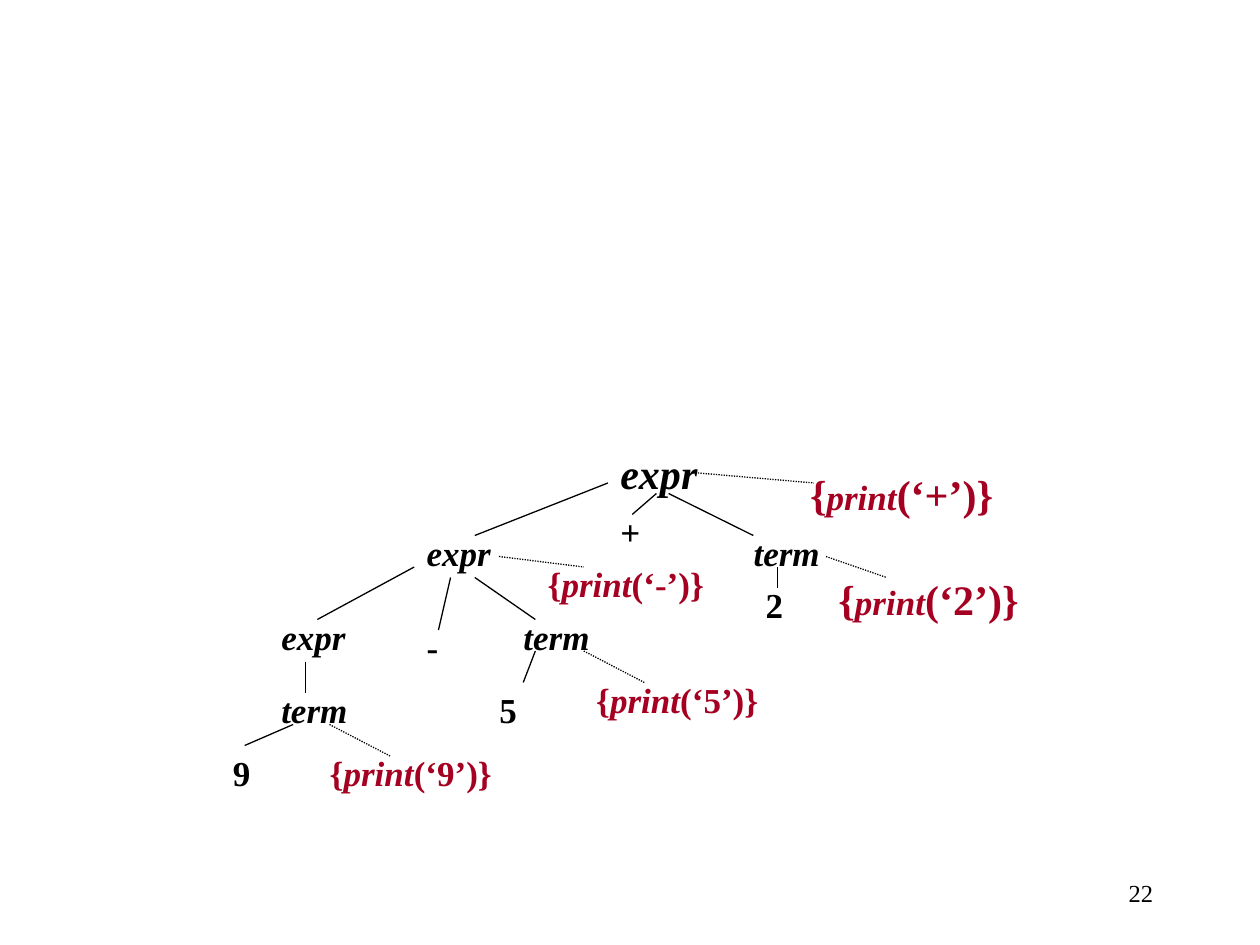
from lxml import etree
from pptx import Presentation
from pptx.dml.color import RGBColor
from pptx.enum import dml, shapes, text
from pptx.oxml import ns
from pptx.util import Pt

COLORS = {"ink": "000000", "action": "A50021"}
FONT = "Times New Roman"
COLUMNS, ROWS = 79, 34  # grid of the parse tree

# Grammar symbols: wording, column, row, size
SYMBOLS = [
    ("expr", 32, 0, 24), ("expr", 16, 8, 20), ("expr", 4, 16, 20),
    ("term", 43, 8, 20), ("term", 24, 16, 20), ("term", 4, 23, 20),
]
# Tokens: wording, column, row
TOKENS = [("+", 32, 6), ("-", 16, 17), ("2", 44, 13), ("5", 22, 23), ("9", 0, 29)]
# Semantic actions: printed token, column, row, columns wide, bracket size
ACTIONS = [
    ("+", 47.66, 2, 29, 24), ("2", 50, 12, 29, 24), ("-", 26, 11, 19, 20),
    ("5", 30, 22, 29, 20), ("9", 8, 29, 29, 20),
]
# Links: start column and row, end column and row
BRANCHES = [
    (32, 4, 21, 9), (36, 5, 34, 7), (37, 5, 44, 9), (46, 12, 46, 14),
    (16, 12, 8, 17), (19, 13, 18, 18), (21, 13, 26, 17), (26, 20, 25, 23),
    (7, 21, 7, 24), (6, 27, 2, 29),
]
ACTION_LINKS = [
    (39, 3, 49, 4), (50, 11, 55, 13), (23, 11, 30, 12), (30, 20, 35, 23),
    (9, 27, 14, 30),
]


def add_label(page, box, spans, color, **para_format):
    """Place one line of text; spans holds (wording, size, bold, italic)."""
    frame = page.shapes.add_textbox(*map(Pt, box)).text_frame
    frame.word_wrap = True
    para = frame.paragraphs[0]
    for name, value in para_format.items():
        setattr(para, name, value)
    for wording, size, bold, italic in spans:
        span = para.add_run()
        span.text = wording
        values = {"name": FONT, "size": Pt(size), "bold": bold, "italic": italic}
        for name, value in values.items():
            setattr(span.font, name, value)
        span.font.color.rgb = RGBColor.from_string(COLORS[color])
    return frame


def add_link(page, start, end, dash=None):
    link = page.shapes.add_connector(
        shapes.MSO_CONNECTOR.STRAIGHT, *map(Pt, start + end))
    link.line.width = Pt(0.75)
    link.line.color.rgb = RGBColor.from_string(COLORS["ink"])
    if dash:
        link.line.dash_style = dash
    etree.SubElement(link._element.spPr, ns.qn("a:effectLst"))


def add_parse_tree(page, box):
    left, top, width, height = box
    step_x, step_y = width / COLUMNS, height / ROWS

    def at(column, row):
        return round(left + column * step_x, 2), round(top + row * step_y, 2)

    def label_box(column, row, columns, size):
        return *at(column, row), round(columns * step_x, 2), 36 if size == 24 else 31.5

    # Symbols and tokens
    for wording, column, row, size in SYMBOLS:
        add_label(page, label_box(column, row, 15, size),
                  [(wording, size, True, True)], "ink")
    for wording, column, row in TOKENS:
        add_label(page, label_box(column, row, 6, 20),
                  [(wording, 20, True, False)], "ink")

    # Semantic actions
    for token, column, row, columns, size in ACTIONS:
        spans = [("{", size, True, False), ("print", 20, True, True),
                 (f"(‘{token}’)}}", size, True, False)]
        add_label(page, label_box(column, row, columns, size), spans, "action")

    # Solid branches, dotted links to actions
    for links, dash in ((BRANCHES, None), (ACTION_LINKS, dml.MSO_LINE.ROUND_DOT)):
        for x1, y1, x2, y2 in links:
            add_link(page, at(x1, y1), at(x2, y2), dash)


def add_page_number(page, box):
    frame = add_label(page, box, [("22", 14, False, False)], "ink",
                      alignment=text.PP_ALIGN.RIGHT)
    frame.vertical_anchor = text.MSO_ANCHOR.MIDDLE


def main():
    deck = Presentation()
    deck.slide_width, deck.slide_height = Pt(720), Pt(540)
    page = deck.slides.add_slide(deck.slide_layouts[6])
    add_parse_tree(page, (126, 252, 546.68, 204))
    add_page_number(page, (516, 492, 150, 36))
    deck.save("out.pptx")


if __name__ == "__main__":
    main()
